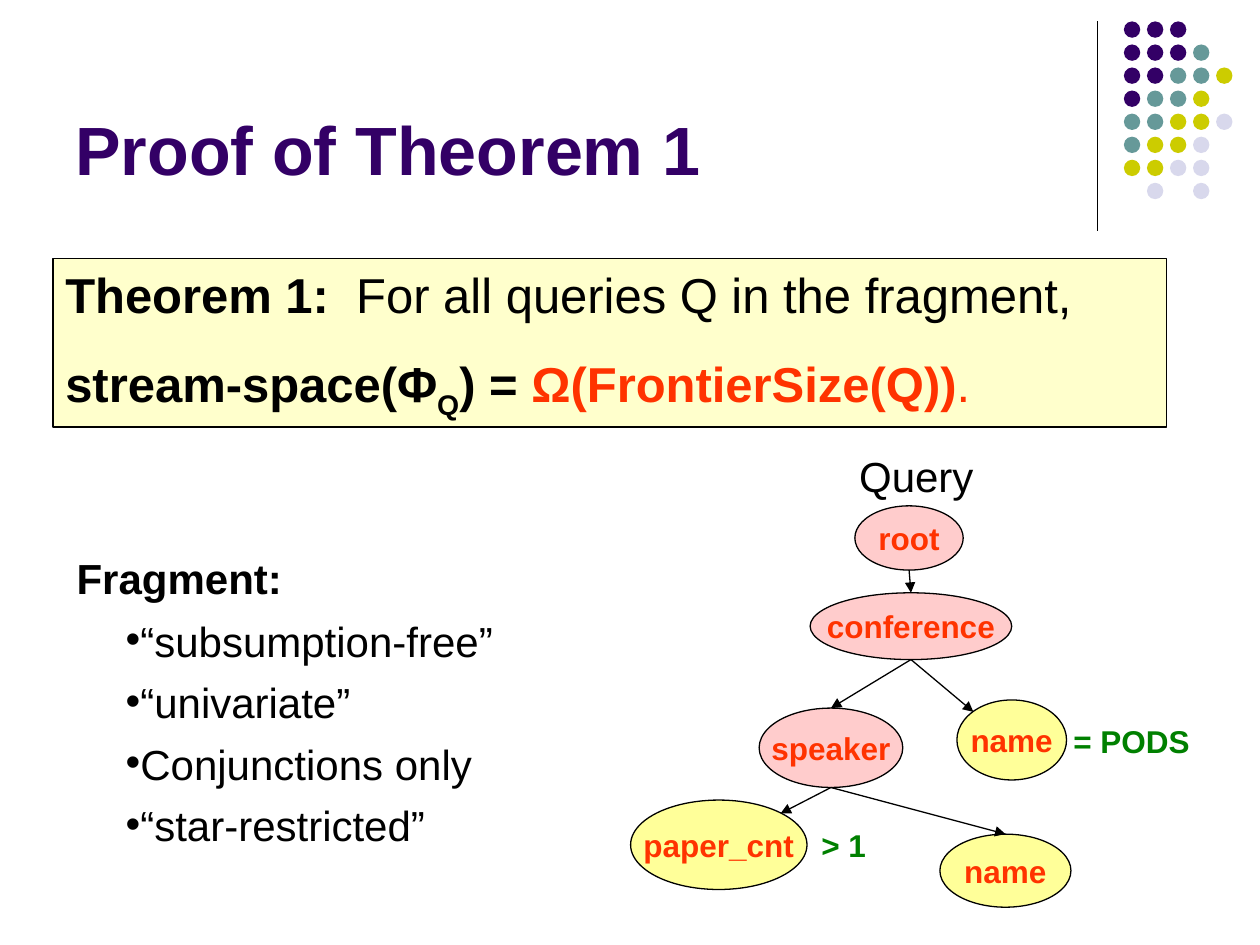
from lxml import etree
from pptx import Presentation
from pptx import util as u
from pptx.dml.color import RGBColor
from pptx.enum import shapes, text
from pptx.oxml import ns

COLORS = {
    "ink": "000000", "purple": "330066", "teal": "669999", "olive": "CCCC00",
    "lilac": "D8D8EC", "cream": "FFFFCC", "pink": "FFCCCC", "yellow": "FFFF99",
    "red": "FF3300", "green": "008000",
}
RGB = {name: RGBColor.from_string(value) for name, value in COLORS.items()}
FONT = "Arial"

deck = Presentation()
deck.slide_width, deck.slide_height = u.Inches(10), u.Inches(7.5)
CELL = deck.slide_width / 100
page = deck.slides.add_slide(deck.slide_layouts[6])


def draw(kind, place, fill=None, outlined=False):
    place = [round(n * CELL) for n in place]
    if kind == "text":
        box = page.shapes.add_textbox(*place)
        box.text_frame.word_wrap = True
    elif kind == "line":
        box = page.shapes.add_connector(shapes.MSO_CONNECTOR.STRAIGHT, *place)
        etree.SubElement(box._element.spPr, ns.qn("a:effectLst"))
    else:
        box = page.shapes.add_shape(kind, *place)
        box.shadow.inherit = False
        box.fill.solid()
        box.fill.fore_color.rgb = RGB[fill]
        if not outlined:
            box.line.fill.background()
    if outlined:
        box.line.color.rgb = RGB["ink"]
        box.line.width = u.Pt(0.75)
    return box


def style(para, size, color="ink", bold=False):
    para.font.name = FONT
    para.font.size = u.Pt(size)
    para.font.bold = bold
    para.font.color.rgb = RGB[color]


OVAL = shapes.MSO_SHAPE.OVAL
draw("line", (87.1, 1.7, 87.1, 18.3), outlined=True)

dot_colors = {"P": "purple", "T": "teal", "O": "olive", "L": "lilac"}
dot_rows = ["PPP", "PPPT", "PPTTO", "PTTO", "TTOOL", "TOOL", "OOLL", " L L"]
DOT_PITCH = 1.83
for row, dots in enumerate(dot_rows):
    for column, dot in enumerate(dots):
        if dot in dot_colors:
            place = (89.2 + column * DOT_PITCH, 1.7 + row * DOT_PITCH, 1.3, 1.3)
            draw(OVAL, place, dot_colors[dot])

title = draw("text", (5, 1.3, 82.5, 14.2)).text_frame
title.vertical_anchor = text.MSO_ANCHOR.BOTTOM
title.text = "Proof of Theorem 1"
style(title.paragraphs[0], 39, "purple", True)

fragment = draw("text", (5.1, 43.35, 38.7, 24.6)).text_frame
fragment.text = "Fragment:"
style(fragment.paragraphs[0], 24, bold=True)
for item in ["“subsumption-free”", "“univariate”", "Conjunctions only", "“star-restricted”"]:
    para = fragment.add_paragraph()
    para.text = item
    para.level = 1
    para.line_spacing = 0.7
    para.space_before = u.Pt(15)
    props = para._p.get_or_add_pPr()
    props.set("marL", str(u.Inches(0.26)))
    props.set("indent", str(u.Inches(0.13)))
    etree.SubElement(props, ns.qn("a:buFont")).set("typeface", FONT)
    etree.SubElement(props, ns.qn("a:buChar")).set("char", "•")
    style(para, 24)

theorem = draw(shapes.MSO_SHAPE.RECTANGLE, (4.2, 20.5, 88.4, 13.4), "cream", True).text_frame
theorem.word_wrap = True
theorem.vertical_anchor = text.MSO_ANCHOR.TOP
statement = [
    [("Theorem 1:  ", True, "ink"), ("For all queries Q in the fragment,", False, "ink")],
    [("stream-space(Φ", True, "ink"), ("Q", True, "ink"), (") = ", True, "ink"),
     ("Ω(FrontierSize(Q))", True, "red"), (".", False, "red")],
]
for index, spans in enumerate(statement):
    para = theorem.add_paragraph() if index else theorem.paragraphs[0]
    para.alignment = text.PP_ALIGN.LEFT
    if index:
        para.space_before = u.Pt(17.5)
    style(para, 28)
    for words, bold, color in spans:
        span = para.add_run()
        span.text = words
        span.font.bold = bold
        span.font.color.rgb = RGB[color]
        if words == "Q":
            span.font._element.set("baseline", "-25000")

nodes = {
    "root": ("root", "pink", (67.85, 40.15, 8.6, 5.1)),
    "conference": ("conference", "pink", (64.3, 47.05, 16, 5.3)),
    "speaker": ("speaker", "pink", (60.25, 56.2, 11.4, 6.3)),
    "conference name": ("name", "yellow", (75.95, 55.55, 8.7, 6.35)),
    "paper count": ("paper_cnt", "yellow", (50.05, 63.5, 14, 7.1)),
    "speaker name": ("name", "yellow", (74.6, 66.2, 10.4, 5.8)),
}
for label, fill, place in nodes.values():
    frame = draw(OVAL, place, fill, True).text_frame
    frame.word_wrap = False
    frame.vertical_anchor = text.MSO_ANCHOR.MIDDLE
    frame.text = label
    frame.paragraphs[0].alignment = text.PP_ALIGN.CENTER
    style(frame.paragraphs[0], 18, "red", True)

TOP, TOP_LEFT, TOP_RIGHT = (0.5, 0), (0.15, 0.15), (0.85, 0.15)
edges = [
    ("root", "conference", TOP),
    ("conference", "conference name", TOP_LEFT),
    ("conference", "speaker", TOP),
    ("speaker", "speaker name", TOP),
    ("speaker", "paper count", TOP_RIGHT),
]
for parent, child, (across, down) in edges:
    left, top, width, height = nodes[parent][2]
    child_left, child_top, child_width, child_height = nodes[child][2]
    arrow = draw("line", (left + width / 2, top + height,
                          child_left + across * child_width,
                          child_top + down * child_height), outlined=True)
    etree.SubElement(arrow.line._get_or_add_ln(), ns.qn("a:tailEnd")).set("type", "triangle")

captions = [
    ("Query", (67.2, 35.3, 13.5, 5), 24, "ink", False),
    ("= PODS", (84.2, 56.8, 11.9, 4), 18, "green", True),
    ("> 1", (64.2, 65.05, 5.7, 4), 18, "green", True),
]
for words, place, size, color, bold in captions:
    frame = draw("text", place).text_frame
    frame.text = words
    style(frame.paragraphs[0], size, color, bold)

deck.save("out.pptx")
